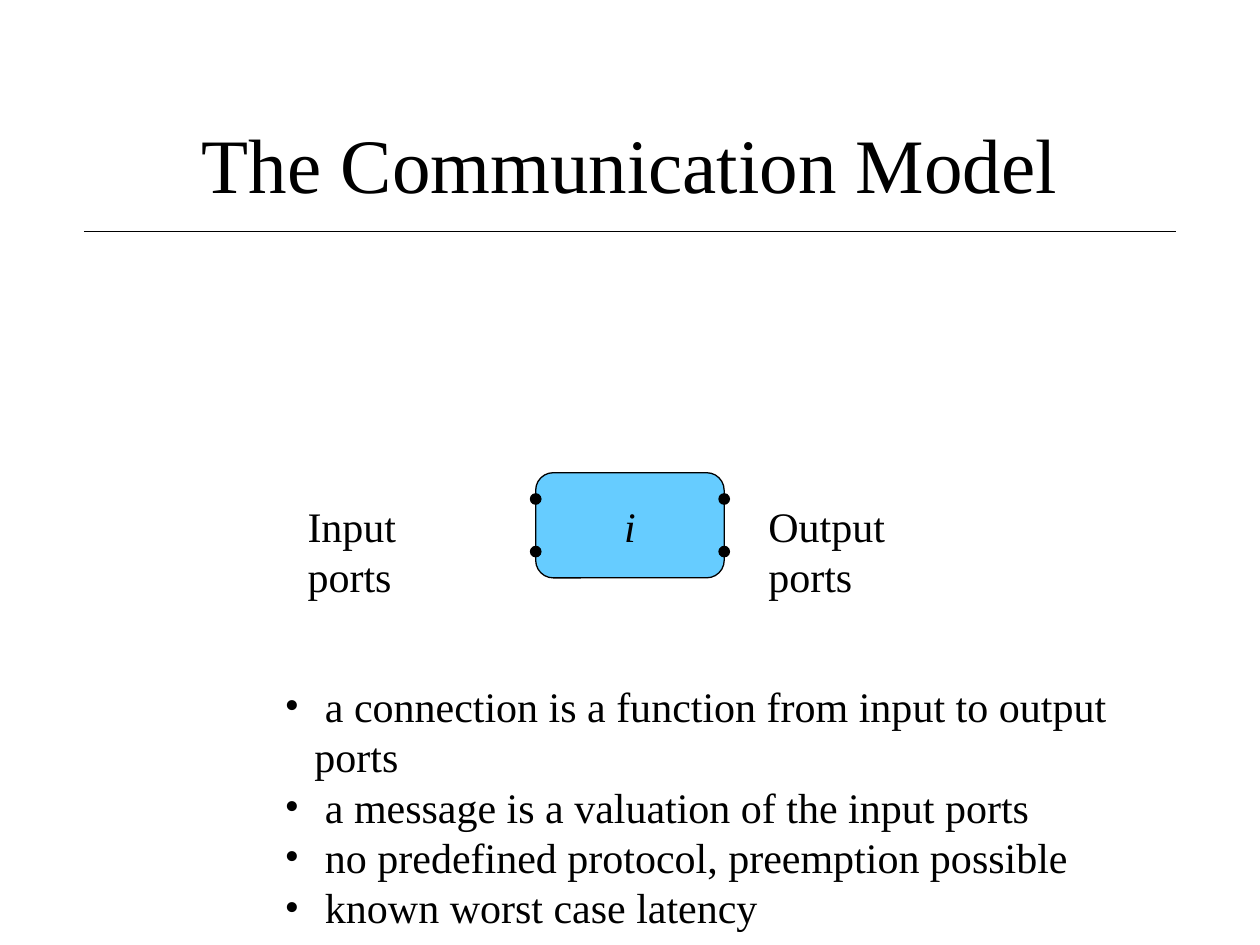
from dataclasses import dataclass

from lxml import etree
from pptx import Presentation, util as u
from pptx.dml.color import RGBColor
from pptx.enum import shapes, text
from pptx.oxml import ns


@dataclass(frozen=True)
class Theme:
    font: str = "Times New Roman"
    ink: RGBColor = RGBColor(0x00, 0x00, 0x00)
    node: RGBColor = RGBColor(0x66, 0xCC, 0xFF)
    title_size: int = 44
    body_size: int = 24
    line_width: float = 0.75


THEME = Theme()


def set_values(target, values):
    for name, value in values.items():
        setattr(target, name, value)


def box(left, top, width, height):
    return tuple(u.Cm(length) for length in (left, top, width, height))


def add_child(parent, tag, **attributes):
    child = etree.SubElement(parent, ns.qn(tag))
    for name, value in attributes.items():
        child.set(name, value)


def write(frame, lines, size, bullet=None, wrap=True, align=text.PP_ALIGN.LEFT,
          anchor=text.MSO_ANCHOR.TOP, italic=False):
    set_values(frame, {"word_wrap": wrap, "vertical_anchor": anchor})
    for index, line in enumerate(lines):
        paragraph = frame.add_paragraph() if index else frame.paragraphs[0]
        paragraph.alignment = align
        if bullet:
            properties = paragraph._p.get_or_add_pPr()
            hanging = u.Cm(0.6)
            properties.set("marL", str(hanging))
            properties.set("indent", str(-hanging))
            add_child(properties, "a:buFont", typeface=THEME.font)
            add_child(properties, "a:buChar", char=bullet)
        run = paragraph.add_run()
        run.text = line
        set_values(run.font, {"name": THEME.font, "size": u.Pt(size), "italic": italic})
        run.font.color.rgb = THEME.ink


def add_text(slide, area, lines, size, **options):
    write(slide.shapes.add_textbox(*box(*area)).text_frame, lines, size, **options)


def add_outlined(slide, kind, area, fill):
    shape = slide.shapes.add_shape(kind, *box(*area))
    shape.shadow.inherit = False
    shape.fill.solid()
    shape.fill.fore_color.rgb = fill
    shape.line.color.rgb = THEME.ink
    shape.line.width = u.Pt(THEME.line_width)
    return shape


def add_header(slide, left, top, width, height):
    """Centred title with a rule that is slightly wider than its box."""
    add_text(slide, (left, top, width, height), ["The Communication Model"],
             THEME.title_size, align=text.PP_ALIGN.CENTER, anchor=text.MSO_ANCHOR.MIDDLE)
    overhang, rule_y = 0.21, u.Cm(top + 2.96)
    rule = slide.shapes.add_connector(
        shapes.MSO_CONNECTOR.STRAIGHT, u.Cm(left - overhang), rule_y,
        u.Cm(left + width + overhang), rule_y)
    rule.line.color.rgb = THEME.ink
    rule.line.width = u.Pt(THEME.line_width)
    add_child(rule._element.spPr, "a:effectLst")


def add_node(slide, left, top, width, height):
    """Named node with two ports on each side and a label beside each pair."""
    node = add_outlined(slide, shapes.MSO_SHAPE.FLOWCHART_ALTERNATE_PROCESS,
                        (left, top, width, height), THEME.node)
    write(node.text_frame, ["i"], THEME.body_size, wrap=False, italic=True,
          align=text.PP_ALIGN.CENTER, anchor=text.MSO_ANCHOR.MIDDLE)
    port = 0.21
    for x in (left, left + width):
        for y in (top + height / 4, top + height * 3 / 4):
            add_outlined(slide, shapes.MSO_SHAPE.OVAL,
                         (x - port / 2, y - port / 2, port, port), THEME.ink)
    for label, offset, label_width in (("Input ports", -4.85, 4.19),
                                       ("Output ports", width + 0.64, 4.75)):
        add_text(slide, (left + offset, top + 0.43, label_width, 1.27), [label],
                 THEME.body_size, wrap=False)


def add_properties(slide, *area):
    add_text(slide, area, [
        " a connection is a function from input to output ports",
        " a message is a valuation of the input ports",
        " no predefined protocol, preemption possible",
        " known worst case latency",
    ], THEME.body_size, bullet="•")


def main():
    presentation = Presentation()
    set_values(presentation, {"slide_width": u.Cm(25.4), "slide_height": u.Cm(19.05)})
    slide = presentation.slides.add_slide(presentation.slide_layouts[6])
    add_header(slide, 1.9, 1.7, 21.6, 3.18)
    add_node(slide, 10.8, 9.53, 3.8, 2.12)
    add_properties(slide, 5.49, 13.59, 18.67, 4.32)
    presentation.save("out.pptx")


if __name__ == "__main__":
    main()
